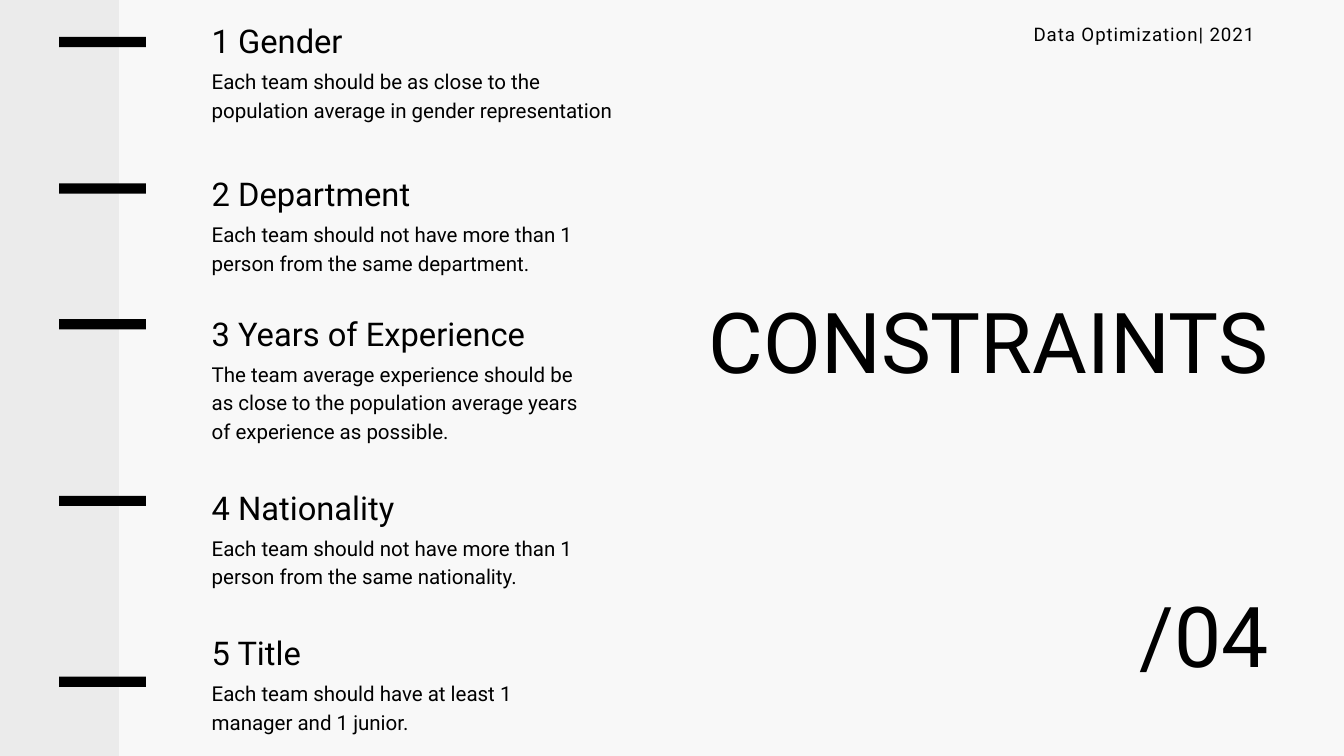
from lxml import etree
from pptx import Presentation
from pptx.dml.color import RGBColor
from pptx.enum import shapes, text
from pptx.oxml import ns
from pptx.util import Inches, Pt

COLOURS = {"paper": "F8F8F8", "ink": "000000"}
FONT = "Roboto"

CONSTRAINTS = [
    ("1 Gender", "Each team should be as close to the population average in gender representation",
     0.22, 6.19, 1.22, 0.55),
    ("2 Department", "Each team should not have more than 1 person from the same department.",
     2.49, 5.49, 1.22, 2.73),
    ("3 Years of Experience", "The team average experience should be as close to the population "
     "average years of experience as possible.", 4.57, 5.49, 1.64, 4.75),
    ("4 Nationality", "Each team should not have more than 1 person from the same nationality.",
     7.16, 5.49, 1.3, 7.38),
    ("5 Title", "Each team should have at least 1 manager and 1 junior.",
     9.32, 5.49, 1.3, 10.07),
]


def write(holder, words, size, leading, align=text.PP_ALIGN.LEFT, spacing=None):
    """Fill a text holder with one formatted paragraph and no insets."""
    frame = holder.text_frame
    frame.word_wrap = True
    frame.auto_size = text.MSO_AUTO_SIZE.SHAPE_TO_FIT_TEXT
    frame.vertical_anchor = text.MSO_ANCHOR.TOP
    frame.margin_left = frame.margin_right = frame.margin_top = frame.margin_bottom = 0
    paragraph = frame.paragraphs[0]
    paragraph.alignment = align
    paragraph.line_spacing = Pt(leading)
    paragraph.space_before = Pt(0)
    run = paragraph.add_run()
    run.text = words
    run.font.size = Pt(size)
    run.font.name = FONT
    run.font.color.rgb = RGBColor.from_string(COLOURS["ink"])
    if spacing:
        run.font._element.set("spc", str(int(spacing * 100)))


def add_block(slide, left, top, width, height, opacity=None):
    """Add a plain ink rectangle, see-through when an opacity percentage is given."""
    block = slide.shapes.add_shape(shapes.MSO_SHAPE.RECTANGLE, Inches(left), Inches(top),
                                   Inches(width), Inches(height))
    block.shadow.inherit = False
    block.fill.solid()
    block.fill.fore_color.rgb = RGBColor.from_string(COLOURS["ink"])
    block.line.fill.background()
    if opacity:
        colour = block._element.spPr.find(".//" + ns.qn("a:srgbClr"))
        etree.SubElement(colour, ns.qn("a:alpha"), val=str(opacity * 1000))


def add_constraint(slide, heading, detail, left, top, width, detail_height):
    """Group a constraint's heading with the detail below it."""
    group = slide.shapes.add_group_shape()
    for words, offset, height, size, leading in ((detail, 0.75, detail_height, 22, 30.8),
                                                 (heading, 0, 0.62, 35, 49)):
        box = group.shapes.add_textbox(Inches(left), Inches(top + offset),
                                       Inches(width), Inches(height))
        write(box, words, size, leading)


def add_timeline(slide, left, top, width, height):
    """Draw the side band, its tick marks and the constraints beside them."""
    add_block(slide, left, top, width, height, opacity=5)
    for heading, detail, heading_top, text_width, detail_height, tick_top in CONSTRAINTS:
        add_block(slide, left + 0.88, top + tick_top, 1.29, 0.15)
        add_constraint(slide, heading, detail, left + 3.15, top + heading_top,
                       text_width, detail_height)


def add_title_side(slide, right):
    """Place the running header, title and page number against the right margin."""
    title = slide.shapes.title
    title.left, title.top = Inches(right - 8.88), Inches(4.31)
    title.width, title.height = Inches(8.88), Inches(1.48)
    write(title, "CONSTRAINTS", 90, 108, text.PP_ALIGN.RIGHT)
    page = slide.shapes.add_textbox(Inches(right - 2), Inches(8.44), Inches(2), Inches(1.67))
    write(page, "/04", 90, 126, text.PP_ALIGN.RIGHT)
    header = slide.shapes.add_textbox(Inches(right - 5.19), Inches(0.34),
                                      Inches(4.98), Inches(0.34))
    write(header, "Data Optimization| 2021", 20, 24, text.PP_ALIGN.RIGHT, spacing=1)


def main():
    """Build and save the constraints slide."""
    deck = Presentation()
    deck.slide_width, deck.slide_height = Inches(20), Inches(11.25)
    slide = deck.slides.add_slide(deck.slide_layouts[5])
    slide.background.fill.solid()
    slide.background.fill.fore_color.rgb = RGBColor.from_string(COLOURS["paper"])
    add_title_side(slide, 18.88)
    add_timeline(slide, 0, 0, 1.77, 11.25)
    deck.save("out.pptx")


if __name__ == "__main__":
    main()
